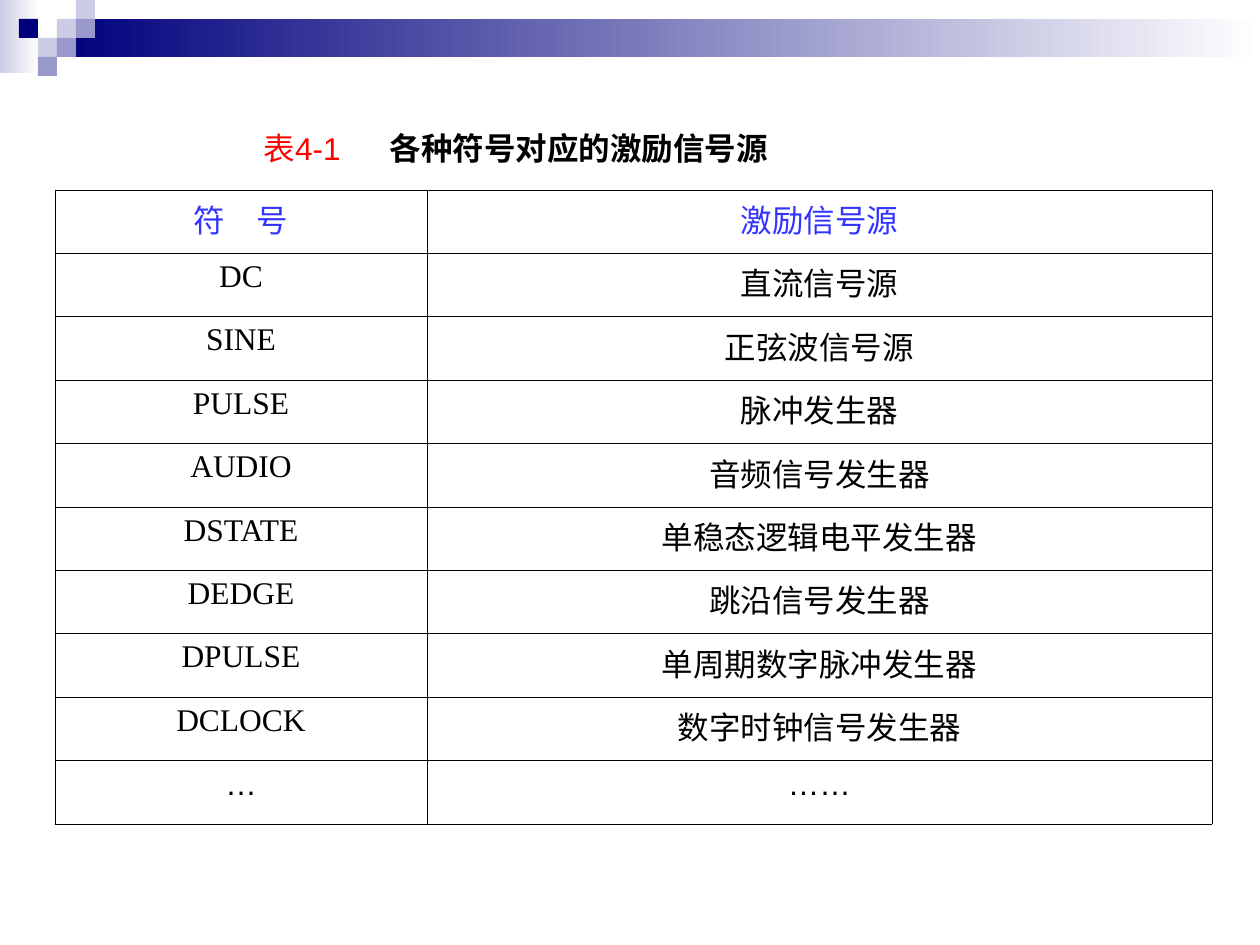
from dataclasses import dataclass

from lxml.etree import SubElement
from pptx import Presentation
from pptx.dml.color import RGBColor
from pptx.enum.shapes import MSO_SHAPE
from pptx.enum.text import MSO_ANCHOR, MSO_AUTO_SIZE, PP_ALIGN
from pptx.oxml.ns import qn
from pptx.slide import Slide
from pptx.util import Emu, Pt

EMU_PER_PX = 914400 / 126
NAVY, LILAC, LAVENDER, WHITE = "00007D", "9999CC", "CCCCE6", "FFFFFF"
CJK, SERIF, SANS = "Noto Sans CJK SC", "Times New Roman", "Arial"

SIGNAL_SOURCES = [
    ("DC", "直流信号源"),
    ("SINE", "正弦波信号源"),
    ("PULSE", "脉冲发生器"),
    ("AUDIO", "音频信号发生器"),
    ("DSTATE", "单稳态逻辑电平发生器"),
    ("DEDGE", "跳沿信号发生器"),
    ("DPULSE", "单周期数字脉冲发生器"),
    ("DCLOCK", "数字时钟信号发生器"),
]
# Column, row and colour of each square in the corner mosaic
MOSAIC = [
    (3, 1, LAVENDER), (4, 0, LAVENDER), (4, 1, LILAC), (2, 2, LAVENDER),
    (1, 1, NAVY), (3, 2, LILAC), (2, 3, LILAC),
]


def px(length):
    return Emu(round(length * EMU_PER_PX))


def rgb(hex_colour):
    return RGBColor.from_string(hex_colour)


def add_text(paragraph, text, *, font, size=18, colour="000000", bold=False):
    run = paragraph.add_run()
    run.text = text
    run.font.name = font
    run.font.size = Pt(size)
    run.font.bold = bold
    run.font.color.rgb = rgb(colour)
    SubElement(run.font._element, qn("a:ea"), typeface=font)


@dataclass
class SlideBuilder:
    slide: Slide
    header_colour: str = "3333FF"
    border_colour: str = "080000"
    border_pt: float = 0.45

    def rectangle(self, left, top, width, height, *colours):
        """One colour fills the rectangle; two make a left-to-right gradient."""
        shape = self.slide.shapes.add_shape(
            MSO_SHAPE.RECTANGLE, px(left), px(top), px(width), px(height))
        shape.shadow.inherit = False
        shape.line.fill.background()
        if len(colours) == 1:
            shape.fill.solid()
            shape.fill.fore_color.rgb = rgb(colours[0])
            return
        shape.fill.gradient()
        shape.fill.gradient_angle = 0
        for stop, colour in zip(shape.fill.gradient_stops, colours):
            stop.color.rgb = rgb(colour)

    def caption(self, left, top, width, height, parts, tab):
        title = self.slide.shapes.title
        title.left, title.top = px(left), px(top)
        title.width, title.height = px(width), px(height)
        frame = title.text_frame
        frame.word_wrap = True
        frame.auto_size = MSO_AUTO_SIZE.SHAPE_TO_FIT_TEXT
        frame.vertical_anchor = MSO_ANCHOR.TOP
        paragraph = frame.paragraphs[0]
        paragraph.alignment = PP_ALIGN.LEFT
        stops = SubElement(paragraph._p.get_or_add_pPr(), qn("a:tabLst"))
        SubElement(stops, qn("a:tab"), pos=str(px(tab)), algn="l")
        for text, style in parts:
            add_text(paragraph, text, **style)

    def borders(self, cell):
        properties = cell._tc.get_or_add_tcPr()
        for side in ("lnL", "lnR", "lnT", "lnB"):
            line = SubElement(properties, qn(f"a:{side}"), w=str(Pt(self.border_pt)))
            fill = SubElement(line, qn("a:solidFill"))
            SubElement(fill, qn("a:srgbClr"), val=self.border_colour)

    def table(self, left, top, height, column_widths, rows):
        """Each row is a list of (text, format) pairs; rows share the height."""
        table = self.slide.shapes.add_table(
            len(rows), len(column_widths), px(left), px(top),
            px(sum(column_widths)), px(height)).table
        table.first_row = table.horz_banding = False
        for column, width in zip(table.columns, column_widths):
            column.width = px(width)
        for row, contents in zip(table.rows, rows):
            for cell, (text, style) in zip(row.cells, contents):
                self.borders(cell)
                cell.fill.background()
                cell.margin_left = cell.margin_right = px(10)
                cell.margin_top = cell.margin_bottom = px(6)
                paragraph = cell.text_frame.paragraphs[0]
                paragraph.alignment = PP_ALIGN.CENTER
                add_text(paragraph, text, **style)


def main():
    presentation = Presentation()
    presentation.slide_width, presentation.slide_height = px(1260), px(945)
    builder = SlideBuilder(presentation.slides.add_slide(presentation.slide_layouts[5]))

    builder.rectangle(0, 0, 39, 73, LAVENDER, WHITE)
    builder.rectangle(57, 19, 1203, 38, NAVY, WHITE)
    square = 19
    for column, row, colour in MOSAIC:
        builder.rectangle(column * square, row * square, square, square, colour)

    header = dict(font=CJK, colour=builder.header_colour)
    rows = [[("符　号", header), ("激励信号源", header)]]
    rows += [[(symbol, dict(font=SERIF)), (source, dict(font=CJK))]
             for symbol, source in SIGNAL_SOURCES]
    rows.append([("…", dict(font=SANS)), ("……", dict(font=SANS))])
    builder.table(55, 190, 634, [372, 785], rows)

    builder.caption(251, 123, 701, 50, [
        ("表", dict(font=CJK, colour="FF0000")),
        ("4-1\t", dict(font=SANS, colour="FF0000")),
        ("各种符号对应的激励信号源", dict(font=CJK, bold=True)),
    ], tab=126)

    presentation.save("out.pptx")


if __name__ == "__main__":
    main()
